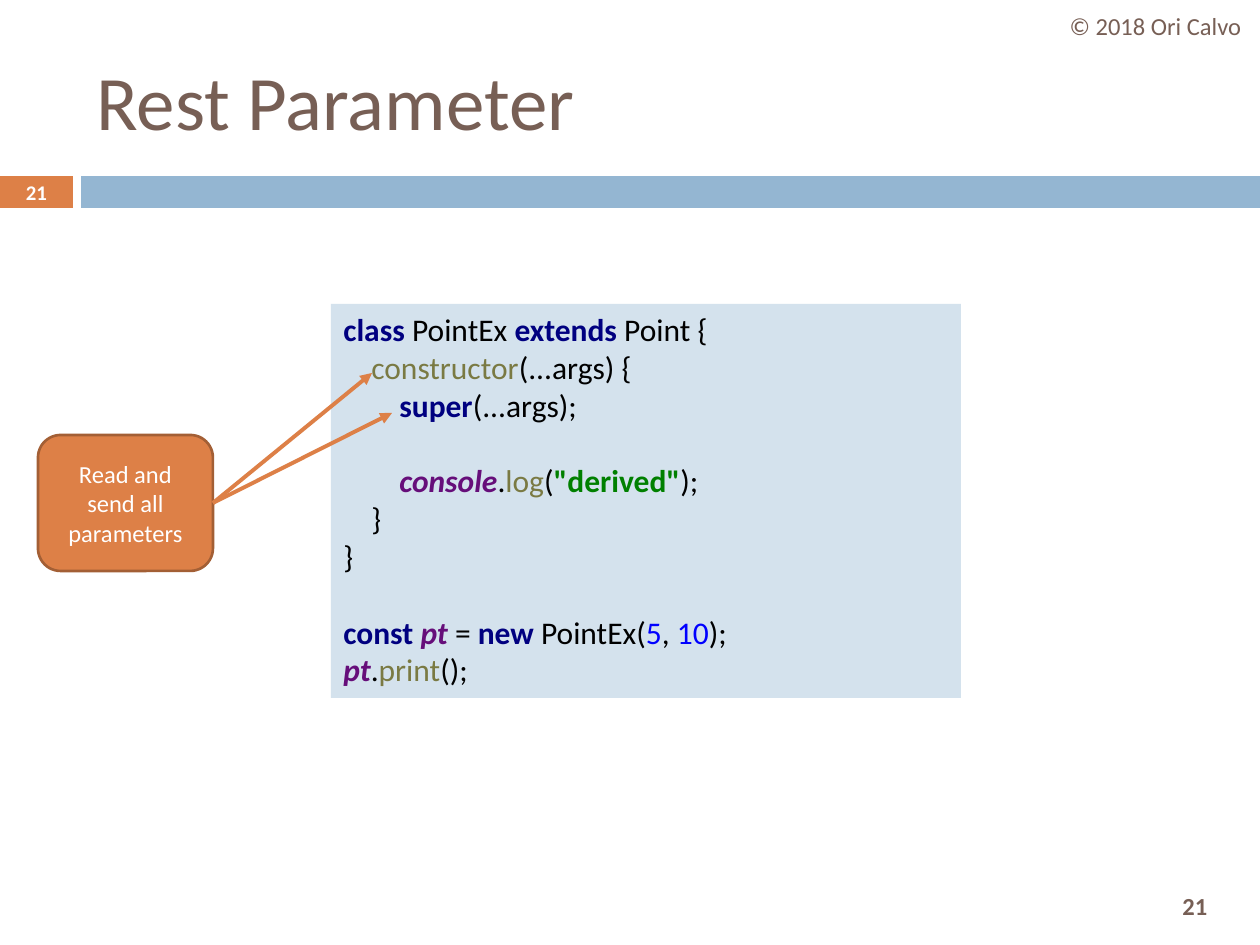
from dataclasses import dataclass
from typing import NamedTuple

from lxml import etree
from pptx import Presentation
from pptx.dml.color import RGBColor
from pptx.enum.shapes import MSO_CONNECTOR, MSO_SHAPE
from pptx.enum.text import MSO_ANCHOR, PP_ALIGN
from pptx.oxml.ns import qn
from pptx.util import Emu, Pt

PIXELS_PER_INCH = 126
FONT = "Calibri"
BROWN = RGBColor(0x77, 0x5F, 0x55)
ORANGE = RGBColor(0xDD, 0x80, 0x47)
DARK_ORANGE = RGBColor(0xA3, 0x5F, 0x35)
BLUE = RGBColor(0x94, 0xB6, 0xD2)
PALE_BLUE = RGBColor(0xD4, 0xE2, 0xED)
WHITE = RGBColor(0xFF, 0xFF, 0xFF)
BLACK = RGBColor(0x00, 0x00, 0x00)
NAVY = RGBColor(0x00, 0x00, 0x80)
OLIVE = RGBColor(0x7A, 0x7A, 0x43)
PURPLE = RGBColor(0x66, 0x0E, 0x7A)
GREEN = RGBColor(0x00, 0x80, 0x00)
NUMBER_BLUE = RGBColor(0x00, 0x00, 0xFF)


def px(value: int) -> Emu:
    return Emu(round(value * 914400 / PIXELS_PER_INCH))


class Box(NamedTuple):
    left: int
    top: int
    width: int
    height: int

    def emu(self) -> list[Emu]:
        return [px(value) for value in self]


class Style(NamedTuple):
    color: RGBColor
    size: float = 18
    bold: bool = False
    italic: bool = False


PLAIN = Style(BLACK)
KEYWORD = Style(NAVY, bold=True)
FUNCTION = Style(OLIVE)
VARIABLE = Style(PURPLE, bold=True, italic=True)
STRING = Style(GREEN, bold=True)
NUMBER = Style(NUMBER_BLUE)


@dataclass(frozen=True)
class Label:
    box: Box
    text: str
    style: Style
    align: PP_ALIGN = PP_ALIGN.CENTER


@dataclass(frozen=True)
class CodeLine:
    tokens: list[tuple[str, Style]]
    level: int = 0
    gap_before: bool = False


LABELS = [
    Label(Box(1137, 879, 116, 53), "21", Style(BROWN, 14, bold=True)),
    Label(Box(84, 32, 1124, 136), "Rest Parameter", Style(BROWN, 44), PP_ALIGN.LEFT),
    Label(Box(1051, 0, 209, 51), "© 2018 Ori Calvo", Style(BROWN, 14)),
    Label(Box(0, 175, 73, 35), "21", Style(WHITE, 11.9, bold=True)),
]
CODE = [
    CodeLine([("class ", KEYWORD), ("PointEx ", PLAIN), ("extends ", KEYWORD), ("Point {", PLAIN)]),
    CodeLine([("constructor", FUNCTION), ("(...args) {", PLAIN)], level=1),
    CodeLine([("super", KEYWORD), ("(...args);", PLAIN)], level=2),
    CodeLine([("console", VARIABLE), (".", PLAIN), ("log", FUNCTION), ("(", PLAIN),
              ('"derived"', STRING), (");", PLAIN)], level=2, gap_before=True),
    CodeLine([("}", PLAIN)], level=1),
    CodeLine([("}", PLAIN)]),
    CodeLine([("const ", KEYWORD), ("pt ", VARIABLE), ("= ", PLAIN), ("new ", KEYWORD),
              ("PointEx(", PLAIN), ("5", NUMBER), (", ", PLAIN), ("10", NUMBER), (");", PLAIN)],
             gap_before=True),
    CodeLine([("pt", VARIABLE), (".", PLAIN), ("print", FUNCTION), ("();", PLAIN)]),
]
CODE_INDENT = 28
CODE_LINE_HEIGHT = Pt(21.6)
CODE_BOX = Box(331, 304, 630, 394)
CALLOUT_BOX = Box(38, 435, 175, 136)
ARROW_TARGETS = [(372, 373), (392, 413)]


def add_run(paragraph, text: str, style: Style) -> None:
    run = paragraph.add_run()
    run.text = text
    font = run.font
    font.name, font.size = FONT, Pt(style.size)
    font.bold, font.italic = style.bold, style.italic
    font.color.rgb = style.color


def write_label(shape, label: Label) -> None:
    frame = shape.text_frame
    frame.word_wrap = True
    frame.vertical_anchor = MSO_ANCHOR.MIDDLE
    paragraph = frame.paragraphs[0]
    paragraph.alignment = label.align
    add_run(paragraph, label.text, label.style)


def add_panel(slide, box: Box, fill: RGBColor, kind: MSO_SHAPE = MSO_SHAPE.RECTANGLE):
    panel = slide.shapes.add_shape(kind, *box.emu())
    panel.shadow.inherit = False
    panel.fill.solid()
    panel.fill.fore_color.rgb = fill
    panel.line.fill.background()
    return panel


def add_code(slide) -> None:
    frame = add_panel(slide, CODE_BOX, PALE_BLUE).text_frame
    frame.word_wrap = True
    frame.vertical_anchor = MSO_ANCHOR.TOP
    for index, line in enumerate(CODE):
        paragraph = frame.add_paragraph() if index else frame.paragraphs[0]
        paragraph.alignment = PP_ALIGN.LEFT
        if line.level:
            paragraph._p.get_or_add_pPr().set("marL", str(px(line.level * CODE_INDENT)))
        if line.gap_before:
            paragraph.space_before = CODE_LINE_HEIGHT
        for text, style in line.tokens:
            add_run(paragraph, text, style)


def add_callout(slide) -> None:
    callout = add_panel(slide, CALLOUT_BOX, ORANGE, MSO_SHAPE.ROUNDED_RECTANGLE)
    callout.line.color.rgb = DARK_ORANGE
    callout.line.width = Pt(1.5)
    write_label(callout, Label(CALLOUT_BOX, "Read and send all parameters", Style(WHITE, 14)))


def add_arrow(slide, start: tuple[int, int], end: tuple[int, int]) -> None:
    ends = [px(value) for value in start + end]
    arrow = slide.shapes.add_connector(MSO_CONNECTOR.STRAIGHT, *ends)
    arrow.line.color.rgb = ORANGE
    arrow.line.width = Pt(2.25)
    etree.SubElement(arrow.line._get_or_add_ln(), qn("a:tailEnd"), type="triangle")
    etree.SubElement(arrow._element.spPr, qn("a:effectLst"))


def main() -> None:
    deck = Presentation()
    deck.slide_width, deck.slide_height = px(1260), px(945)
    slide = deck.slides.add_slide(deck.slide_layouts[6])
    add_panel(slide, Box(0, 176, 73, 32), ORANGE)
    add_panel(slide, Box(81, 176, 1179, 32), BLUE)
    for label in LABELS:
        write_label(slide.shapes.add_textbox(*label.box.emu()), label)
    add_code(slide)
    add_callout(slide)
    start = (CALLOUT_BOX.left + CALLOUT_BOX.width, CALLOUT_BOX.top + CALLOUT_BOX.height // 2)
    for target in ARROW_TARGETS:
        add_arrow(slide, start, target)
    deck.save("out.pptx")


main()
